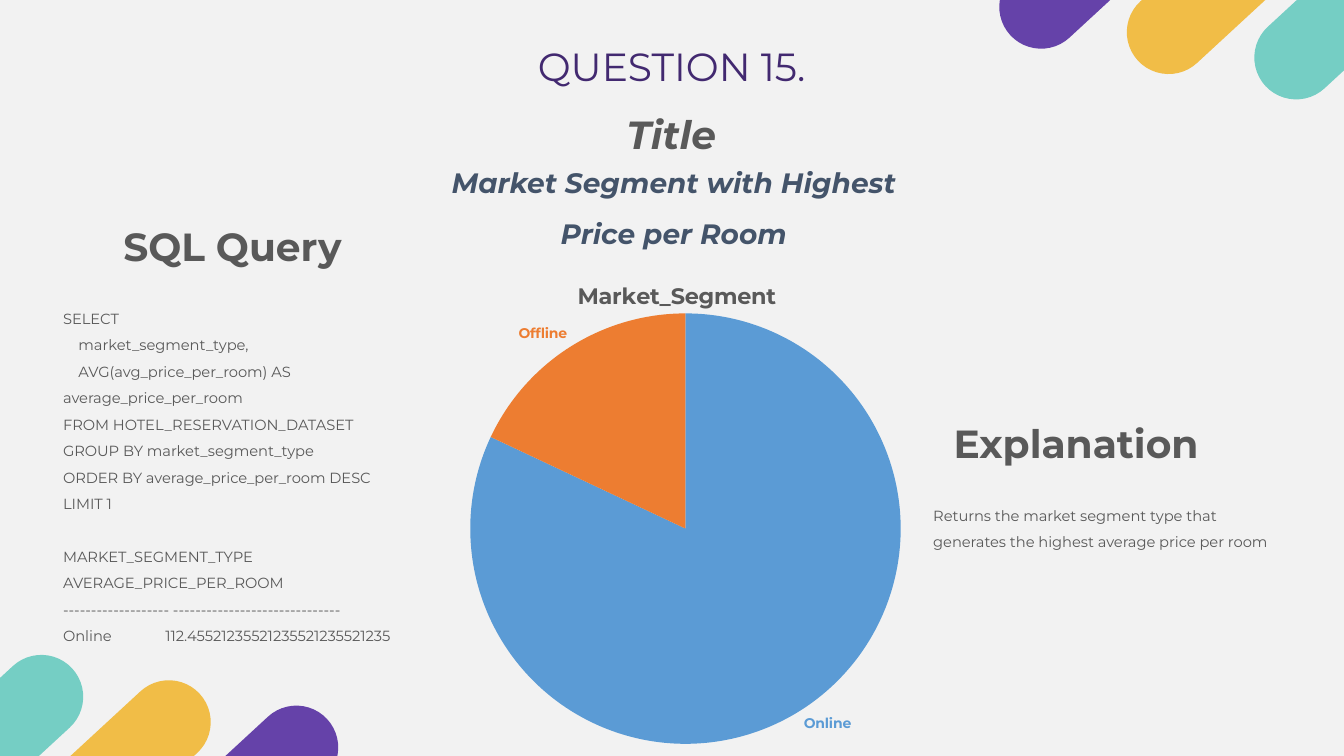
from lxml import etree
from pptx import Presentation
from pptx import util as u
from pptx.chart import data as cd
from pptx.dml import color
from pptx.enum import chart as ch, shapes, text
from pptx.oxml import ns, parse_xml

FONT = "Montserrat"
HUES = {
    "back": "F2F2F2", "plum": "6542A9", "gold": "F1BD47", "teal": "75CEC4",
    "gray": "595959", "navy": "44546A", "head": "422970",
    "blue": "5B9BD5", "rust": "ED7D31",
}
MID = text.PP_ALIGN.CENTER
LEFT = text.PP_ALIGN.LEFT
QUERY = [
    "SELECT",
    "market_segment_type,",
    "AVG(avg_price_per_room) AS average_price_per_room",
    "FROM HOTEL_RESERVATION_DATASET",
    "GROUP BY market_segment_type",
    "ORDER BY average_price_per_room DESC",
    "LIMIT 1",
    "MARKET_SEGMENT_TYPE AVERAGE_PRICE_PER_ROOM",
    "------------------- ------------------------------",
    "Online\t112.45521235521235521235521235",
]


def hue(name):
    """Return the named colour."""
    return color.RGBColor.from_string(HUES[name])


def style(font, size, tint, bold=False, slant=False):
    """Format one font."""
    font.name, font.size = FONT, u.Pt(size)
    font.bold, font.italic = bold, slant
    font.color.rgb = hue(tint)


def block(slide, box, lines, size, tint, bold=False, slant=False,
          align=LEFT, gap=None):
    """Add a wrapped text box with one paragraph per line."""
    frame = slide.shapes.add_textbox(*map(u.Pt, box)).text_frame
    frame.word_wrap = True
    for row, line in enumerate(lines):
        para = frame.add_paragraph() if row else frame.paragraphs[0]
        para.text = line
        para.alignment = align
        if gap:
            para.line_spacing = gap
        for run in para.runs:
            style(run.font, size, tint, bold, slant)
    return frame


def ground(slide):
    """Fill the slide background."""
    fill = slide.background.fill
    fill.solid()
    fill.fore_color.rgb = hue("back")


def pills(slide, box, tints):
    """Add a stepped row of slanted pills, the first one in the box."""
    left, top, wide, high = box
    for step, tint in enumerate(tints):
        spot = (left + 91.1 * step, top + 18.1 * step, wide, high)
        pill = slide.shapes.add_shape(
            shapes.MSO_SHAPE.ROUNDED_RECTANGLE, *map(u.Pt, spot))
        pill.adjustments[0] = 0.5
        pill.rotation = 317.3
        pill.shadow.inherit = False
        pill.fill.solid()
        pill.fill.fore_color.rgb = hue(tint)
        pill.line.fill.background()


def header(slide, box):
    """Add the question number, the title label and the title."""
    left, top, wide, high = box
    block(slide, (left + 41, top, wide - 85, 41), ["QUESTION 15."],
          28, "head", align=MID)
    block(slide, (left + 63.5, top + 48.5, 256, 41), ["Title"],
          28, "gray", True, True, MID)
    block(slide, (left, top + 76, wide, high - 76),
          ["Market Segment with Highest Price per Room"],
          20, "navy", True, True, MID, 1.5)


def query(slide, box):
    """Add the query heading, its code and its result."""
    left, top, wide, high = box
    block(slide, (left, top, 256, 41), ["SQL Query"], 28, "gray", True,
          align=MID)
    frame = block(slide, (left, top + 56, wide, high - 56), QUERY,
                  10.5, "gray", gap=1.5)
    paras = frame.paragraphs
    for para in paras[1:3]:
        para._p.get_or_add_pPr().set("indent", str(u.Pt(11)))
    paras[7].space_before = u.Pt(18.9)
    tabs = etree.SubElement(paras[9]._p.get_or_add_pPr(), ns.qn("a:tabLst"))
    etree.SubElement(tabs, ns.qn("a:tab"), pos=str(u.Pt(73)), algn="l")


def notes(slide, box):
    """Add the explanation heading and its text."""
    left, top, wide, high = box
    block(slide, (left + 14.5, top, wide, 41), ["Explanation"],
          28, "gray", True)
    block(slide, (left, top + 56, wide, high - 56),
          ["Returns the market segment type that generates the highest "
           "average price per room"], 10.5, "gray", gap=1.5)


def place(node, inner=False, **spots):
    """Give a chart part a manual layout in shares of the chart."""
    for old in node.findall(ns.qn("c:layout")):
        node.remove(old)
    tags = '<c:layoutTarget val="inner"/>' if inner else ""
    tags += '<c:xMode val="edge"/><c:yMode val="edge"/>'
    tags += "".join(f'<c:{k} val="{v}"/>' for k, v in spots.items())
    return parse_xml(f'<c:layout {ns.nsdecls("c")}><c:manualLayout>{tags}'
                     '</c:manualLayout></c:layout>')


def pie(slide, box):
    """Add the market segment pie with coloured labels."""
    data = cd.CategoryChartData()
    data.categories = ["Online", "Offline"]
    data.add_series("Market_Segment", (82, 18))
    chart = slide.shapes.add_chart(
        ch.XL_CHART_TYPE.PIE, *map(u.Pt, box), data).chart
    chart.font.name, chart.font.size = FONT, u.Pt(10)
    chart.has_legend = False
    chart.has_title = True
    frame = chart.chart_title.text_frame
    frame.text = "Market_Segment"
    style(frame.paragraphs[0].runs[0].font, 16, "gray", True)
    plot = chart.plots[0]
    plot.vary_by_categories = True
    out = ch.XL_LABEL_POSITION.OUTSIDE_END
    ser = plot.series[0]
    for spot, tint in enumerate(("blue", "rust")):
        point = ser.points[spot]
        point.format.fill.solid()
        point.format.fill.fore_color.rgb = hue(tint)
        point.format.line.fill.background()
        style(point.data_label.font, 10, tint, True)
        point.data_label.position = out
    labels = ser.data_labels
    style(labels.font, 10, "blue", True)
    labels.position = out
    for name, flag in (("showVal", "0"), ("showCatName", "1"),
                       ("showPercent", "0")):
        for node in ser._element.iter(ns.qn("c:" + name)):
            node.set("val", flag)
    title = chart.chart_title._element
    spot = place(title, x=0.34, y=0.07)
    title.find(ns.qn("c:tx")).addnext(spot)
    area = plot._element.getparent()
    area.insert(0, place(area, True, x=0.19, y=0.14, w=0.62, h=0.82))


def main():
    """Build and save the slide."""
    deck = Presentation()
    deck.slide_width, deck.slide_height = u.Pt(960), u.Pt(540)
    slide = deck.slides.add_slide(deck.slide_layouts[6])
    ground(slide)
    tints = ["plum", "gold", "teal"]
    pills(slide, (692.6, -79.2, 219.6, 59.8), tints)
    pills(slide, (-139, 522, 219.6, 59.8), tints[::-1])
    header(slide, (288, 27, 386.6, 156))
    notes(slide, (659.5, 296, 256, 101.5))
    query(slide, (38, 155.5, 302.4, 350))
    pie(slide, (239.8, 171.4, 499.7, 375))
    deck.save("out.pptx")


if __name__ == "__main__":
    main()
